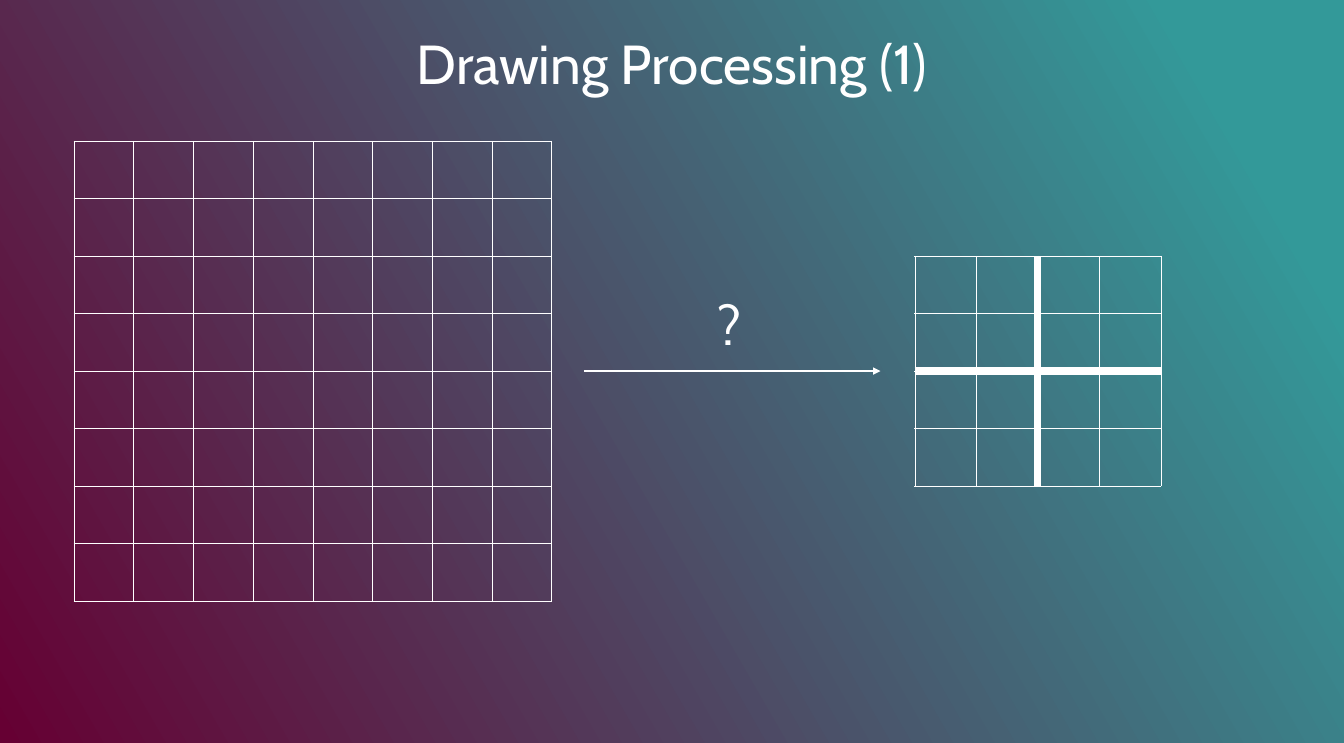
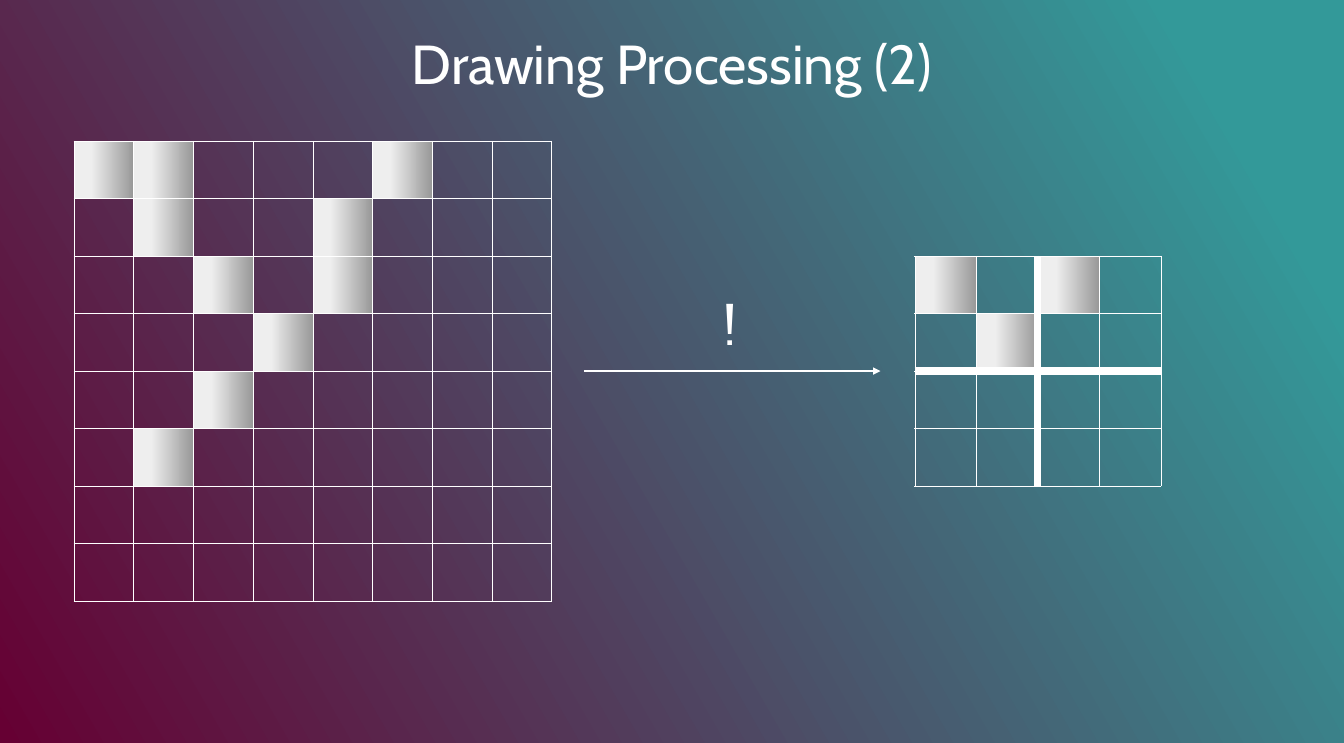
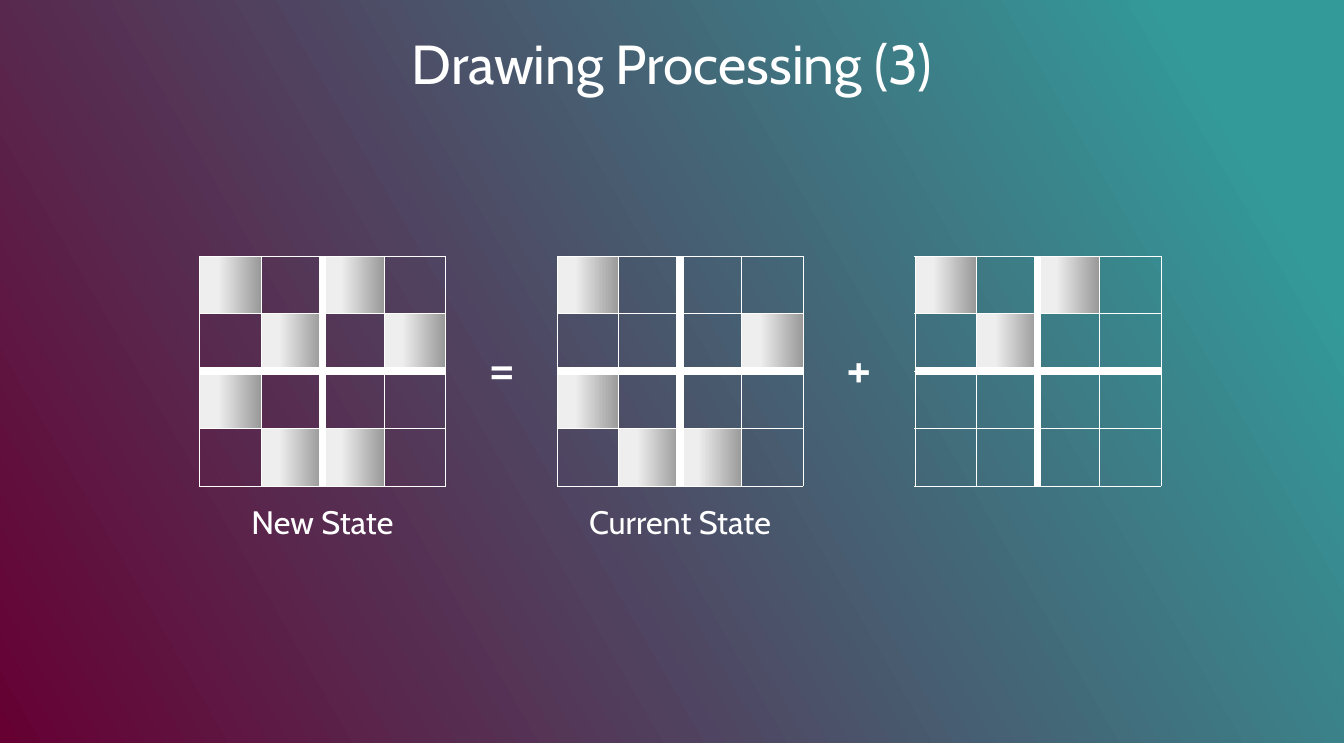
from dataclasses import dataclass
from pptx import Presentation
from pptx.dml.color import RGBColor
from pptx.enum.shapes import MSO_CONNECTOR as Connector
from pptx.enum.text import MSO_ANCHOR as Anchor, PP_ALIGN as Align
from pptx.oxml.ns import qn
from pptx.util import Pt
from lxml.etree import SubElement


@dataclass(frozen=True)
class Theme:
    font: str = "Cabin"
    ink: str = "FFFFFF"
    backdrop: tuple = ((10, "339999"), (100, "660033"))
    pixel: tuple = ((30, "EEEEEE"), (100, "999999"))
    title_size: int = 44
    label_size: int = 26
    hairline: float = 0.06
    arrow_line: float = 1
    cross_line: float = 6


theme = Theme()


def paint_gradient(fill, stops, angle):
    fill.gradient()
    fill.gradient_angle = angle
    for stop, (percent, color) in zip(fill.gradient_stops, stops):
        stop.position = percent / 100
        stop.color.rgb = RGBColor.from_string(color)


def draw_grid(page, left, top, cell_width, cell_height, pattern):
    row_count, column_count = len(pattern), len(pattern[0])
    frame = page.shapes.add_table(
        row_count, column_count, Pt(left), Pt(top),
        Pt(cell_width * column_count), Pt(cell_height * row_count))
    table = frame.table
    table.first_row = table.horz_banding = False
    for column in table.columns:
        column.width = Pt(cell_width)
    for row, marks in zip(table.rows, pattern):
        row.height = Pt(cell_height)
        for cell, mark in zip(row.cells, marks):
            properties = cell._tc.get_or_add_tcPr()
            for side in ("a:lnL", "a:lnR", "a:lnT", "a:lnB"):
                border = SubElement(properties, qn(side), w=str(Pt(theme.hairline)))
                solid = SubElement(border, qn("a:solidFill"))
                SubElement(solid, qn("a:srgbClr"), val=theme.ink)
            if mark == "#":
                paint_gradient(cell.fill, theme.pixel, 0)
            else:
                cell.fill.background()


canvas_left, canvas_top, canvas_cell = 59, 113, 47.88
state_left, state_step, state_top, state_cell = 159.84, 286.56, 205.2, 49.3
cell_height = 46.08
state_lefts = [state_left + state_step * place for place in range(3)]
state_width, state_height = state_cell * 4, cell_height * 4
middle = state_top + state_height / 2

empty_canvas = ["." * 8] * 8
drawn_canvas = [
    "##...#..",
    ".#..#...",
    "..#.#...",
    "...#....",
    "..#.....",
    ".#......",
    "........",
    "........",
]
empty_state = ["...."] * 4
drawn_state = ["#.#.", ".#..", "....", "...."]
current_state = ["#...", "...#", "#...", ".##."]
new_state = ["#.#.", ".#.#", "#...", ".##."]

arrow_sign_box = (561, 229, 48, 60)
operator_top, operator_width, operator_height = 264, 36, 60
label_top, label_height = 400, 36

slides = [
    (empty_canvas, {2: empty_state}, [("?", theme.title_size, arrow_sign_box)]),
    (drawn_canvas, {2: drawn_state}, [("!", theme.title_size, arrow_sign_box)]),
    (None, {0: new_state, 1: current_state, 2: drawn_state}, [
        (sign, theme.title_size, (left, operator_top, operator_width, operator_height))
        for sign, left in (("=", 384.3), ("+", 670.5))
    ] + [
        (label, theme.label_size, (left, label_top, state_width, label_height))
        for label, left in zip(("New State", "Current State"), state_lefts)
    ]),
]

deck = Presentation()
deck.slide_width, deck.slide_height = Pt(1077.12), Pt(595.44)
paint_gradient(deck.slide_master.background.fill, theme.backdrop, 210)

for number, (canvas, states, texts) in enumerate(slides, 1):
    page = deck.slides.add_slide(deck.slide_layouts[6])
    lines = []
    if canvas:
        draw_grid(page, canvas_left, canvas_top, canvas_cell, cell_height, canvas)
        lines.append((468, middle, 705.6, middle, theme.arrow_line, True))

    for place, pattern in states.items():
        left = state_lefts[place]
        center = left + state_width / 2
        draw_grid(page, left, state_top, state_cell, cell_height, pattern)
        lines += [
            (left, middle, left + state_width, middle, theme.cross_line, False),
            (center, state_top + state_height, center, state_top, theme.cross_line, False),
        ]

    for start_x, start_y, end_x, end_y, width, has_arrowhead in lines:
        line = page.shapes.add_connector(
            Connector.STRAIGHT, Pt(start_x), Pt(start_y), Pt(end_x), Pt(end_y))
        line.line.color.rgb = RGBColor.from_string(theme.ink)
        line.line.width = Pt(width)
        if has_arrowhead:
            SubElement(line.line._get_or_add_ln(), qn("a:tailEnd"), type="triangle")
        SubElement(line._element.spPr, qn("a:effectLst"))

    title = (f"Drawing Processing ({number})", theme.title_size, (307.4, -10, 462.2, 120))
    for text, size, bounds in [title] + texts:
        box = page.shapes.add_textbox(*map(Pt, bounds))
        frame = box.text_frame
        frame.word_wrap = True
        frame.vertical_anchor = Anchor.MIDDLE
        frame.margin_left = frame.margin_right = frame.margin_top = frame.margin_bottom = 0
        para = frame.paragraphs[0]
        para.alignment = Align.CENTER
        span = para.add_run()
        span.text = text
        span.font.name = theme.font
        span.font.size = Pt(size)
        span.font.color.rgb = RGBColor.from_string(theme.ink)

deck.save("out.pptx")
